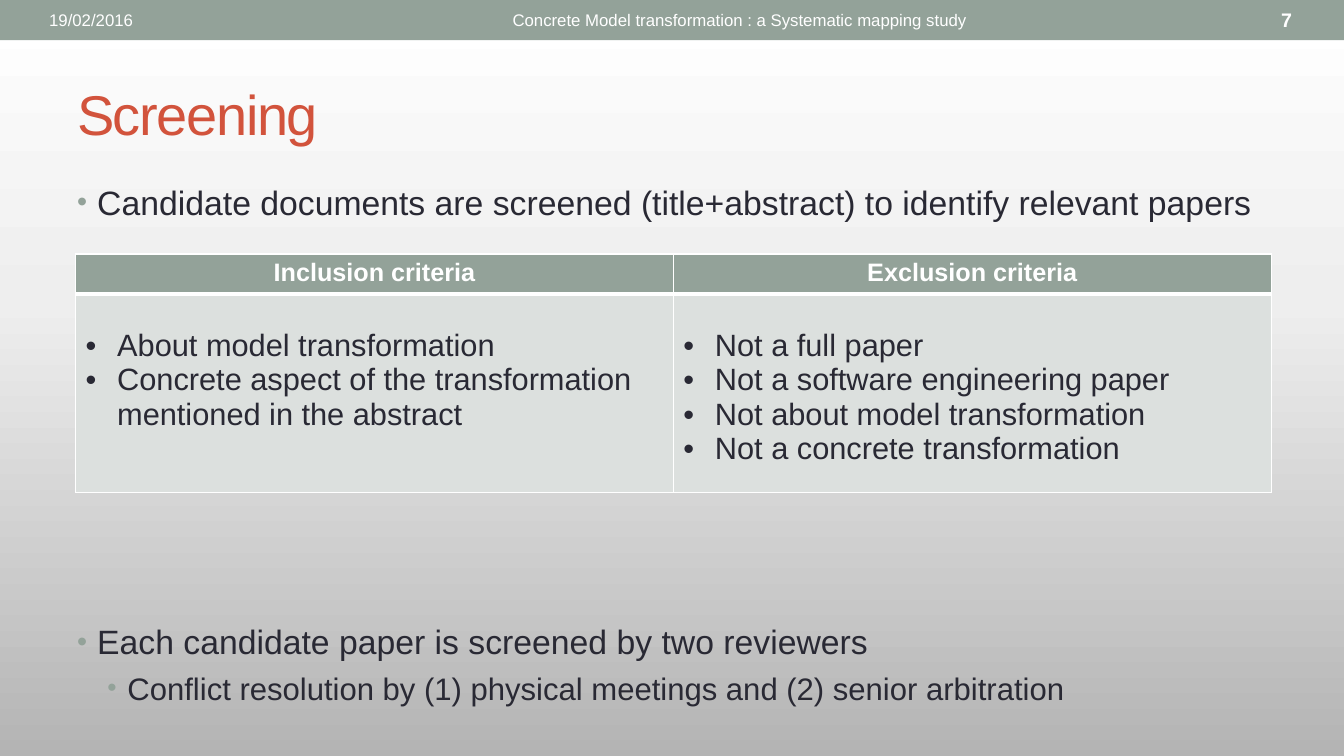
from lxml import etree
from pptx import Presentation
from pptx.dml.color import RGBColor
from pptx.enum import shapes, text
from pptx.oxml import ns
from pptx.util import Pt

SAGE, WHITE, INK, RUST, PALE = "93A299", "FFFFFF", "292934", "D2533C", "DCE0DE"
LEFT, MID = text.PP_ALIGN.LEFT, text.PP_ALIGN.CENTER
A = ns.nsdecls("a")
PLAIN = [f'<a:buFont {A} typeface="Arial"/>', f'<a:buChar {A} char="•"/>']
TINTED = [f'<a:buClr {A}><a:srgbClr val="{SAGE}"/></a:buClr>',
          f'<a:buSzPct {A} val="85000"/>'] + PLAIN


def rgb(code):
    return RGBColor.from_string(code)


def write(para, words, size, color, align=LEFT, bold=False, indent=None, dot=None):
    """Fill a paragraph; indent is (margin, hang), dot holds the bullet's XML."""
    para.alignment = align
    run = para.add_run()
    run.text = words
    font = {"name": "Arial", "size": Pt(size), "bold": bold}
    for key, value in font.items():
        setattr(run.font, key, value)
    run.font.color.rgb = rgb(color)
    if indent:
        props = para._p.get_or_add_pPr()
        props.set("marL", str(Pt(indent[0])))
        props.set("indent", str(Pt(-indent[1])))
        for part in dot:
            props.append(etree.fromstring(part))
    return run


deck = Presentation()
deck.slide_width, deck.slide_height = Pt(960), Pt(540)
slide = deck.slides.add_slide(deck.slide_layouts[6])

# Background gradient, top to bottom
fill = slide.background.fill
fill.gradient()
fill.gradient_angle = 270
stops = slide.element.find(".//" + ns.qn("a:gsLst"))
for stop in list(stops):
    stops.remove(stop)
for place, color in [(0, WHITE), (40, "EEEEEE"), (100, "B4B4B4")]:
    stops.append(etree.fromstring(
        f'<a:gs {A} pos="{place * 1000}"><a:srgbClr val="{color}"/></a:gs>'))

# Header bands
for top, high, color in [(17.3, 18, WHITE), (0, 28.8, SAGE)]:
    band = slide.shapes.add_shape(
        shapes.MSO_SHAPE.RECTANGLE, 0, Pt(top), deck.slide_width, Pt(high))
    band.shadow.inherit = False
    band.fill.solid()
    band.fill.fore_color.rgb = rgb(color)
    band.line.fill.background()

# Title and header texts
labels = [
    ((48, 41.8, 864, 77.8), "Screening", 40, RUST, LEFT, False),
    ((28, 1.4, 187, 26), "19/02/2016", 12, WHITE, LEFT, False),
    ((154, 1.4, 749, 26), "Concrete Model transformation : a Systematic mapping study",
     12, WHITE, MID, False),
    ((908, 0, 52, 27.4), "7", 14, WHITE, LEFT, True),
]
for spot, words, size, color, align, bold in labels:
    frame = slide.shapes.add_textbox(*map(Pt, spot)).text_frame
    frame.word_wrap = True
    frame.vertical_anchor = text.MSO_ANCHOR.MIDDLE
    run = write(frame.paragraphs[0], words, size, color, align, bold)
    if color == RUST:
        run._r.get_or_add_rPr().set("spc", "-100")

# Body: the second point sits below the table
points = [
    ("Candidate documents are screened (title+abstract) to identify relevant papers",
     24.1, 0, 14.4),
    ("Each candidate paper is screened by two reviewers", 24.1, 285, 14.4),
    ("Conflict resolution by (1) physical meetings and (2) senior arbitration",
     22.2, 5.5, 36),
]
body = slide.shapes.add_textbox(Pt(48), Pt(126), Pt(864), Pt(345)).text_frame
body.word_wrap = True
for i, (words, size, gap, margin) in enumerate(points):
    para = body.add_paragraph() if i else body.paragraphs[0]
    para.space_before = Pt(gap)
    write(para, words, size, INK, indent=(margin, 14.4), dot=TINTED)

# Criteria table
criteria = {
    "Inclusion criteria": [
        "About model transformation",
        "Concrete aspect of the transformation mentioned in the abstract"],
    "Exclusion criteria": [
        "Not a full paper",
        "Not a software engineering paper",
        "Not about model transformation",
        "Not a concrete transformation"],
}
grid = slide.shapes.add_table(2, 2, Pt(54), Pt(181.4), Pt(854), Pt(169.7)).table
for row, high in zip(grid.rows, (27.9, 141.8)):
    row.height = Pt(high)
for col, (head, items) in enumerate(criteria.items()):
    grid.columns[col].width = Pt(427)
    top, low = grid.cell(0, col), grid.cell(1, col)
    write(top.text_frame.paragraphs[0], head, 18, WHITE, MID, True)
    low.margin_top = Pt(24.3)
    frame = low.text_frame
    for i, item in enumerate(items):
        para = frame.add_paragraph() if i else frame.paragraphs[0]
        write(para, item, 22, INK, indent=(22.5, 22.5), dot=PLAIN)
    for cell, color, thick in [(top, SAGE, "B"), (low, PALE, "T")]:
        cell.fill.solid()
        cell.fill.fore_color.rgb = rgb(color)
        for i, side in enumerate("LRTB"):
            width = Pt(3 if side == thick else 1)
            cell._tc.get_or_add_tcPr().insert(i, etree.fromstring(
                f'<a:ln{side} {A} w="{width}"><a:solidFill>'
                f'<a:srgbClr val="{WHITE}"/></a:solidFill></a:ln{side}>'))

deck.save("out.pptx")
